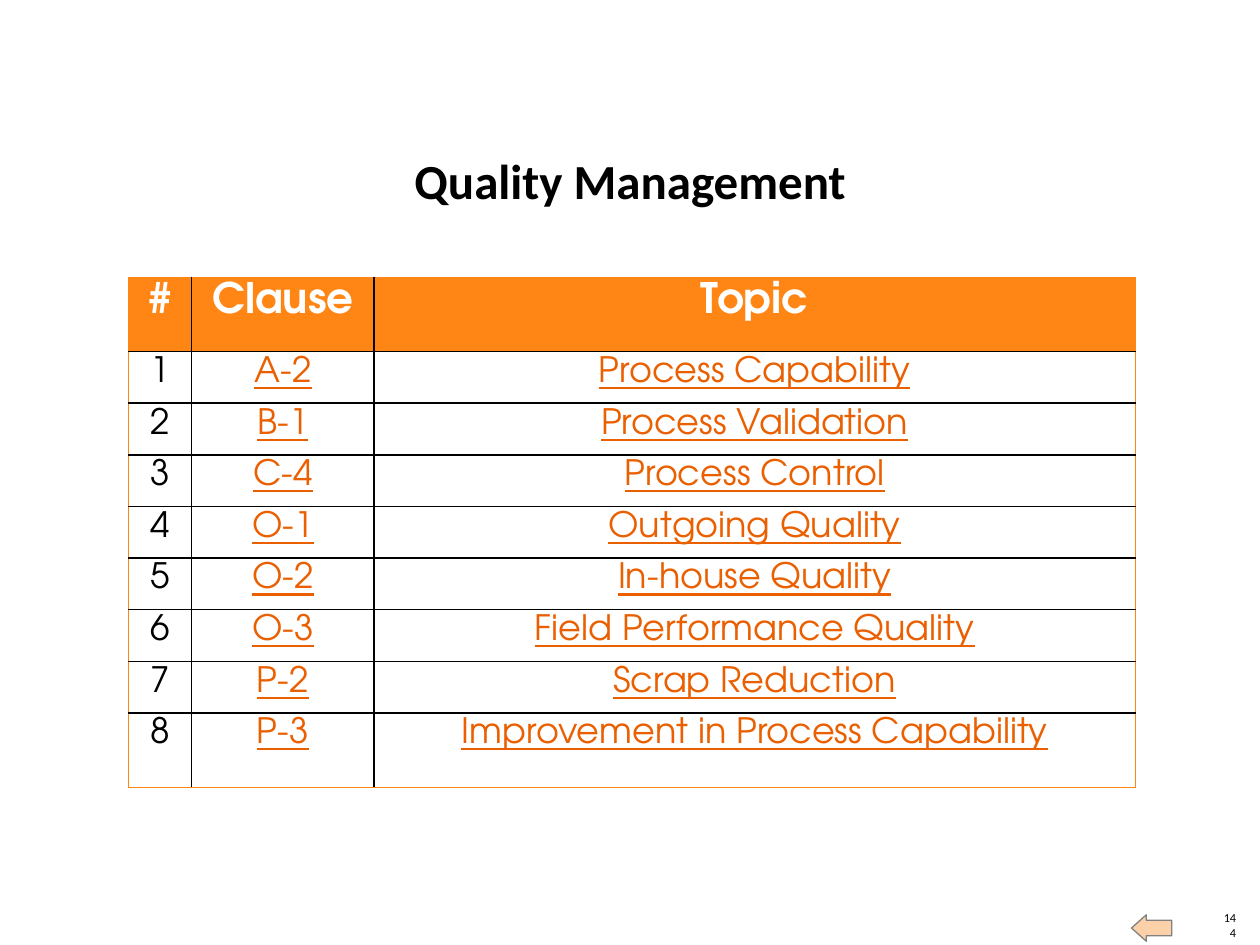
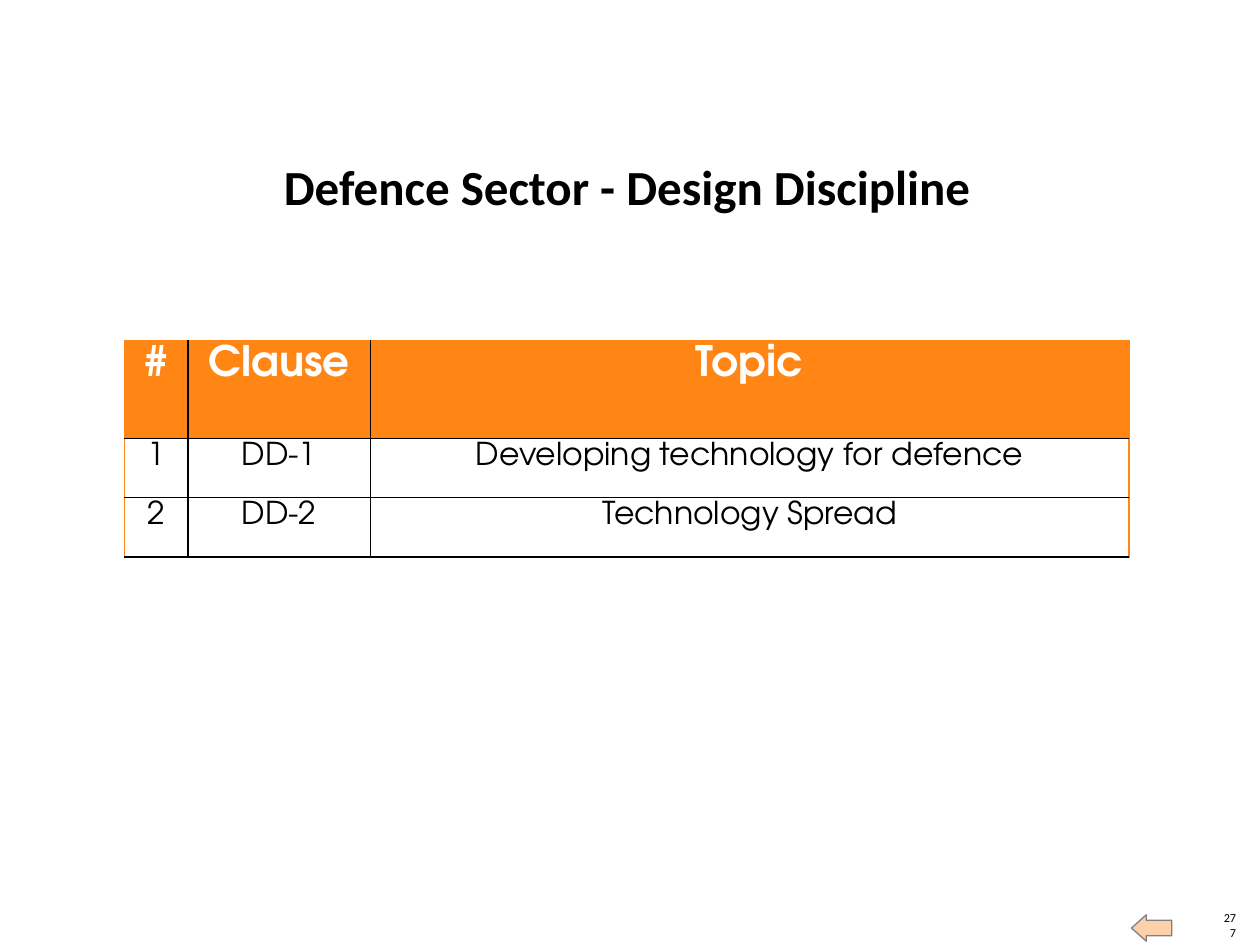
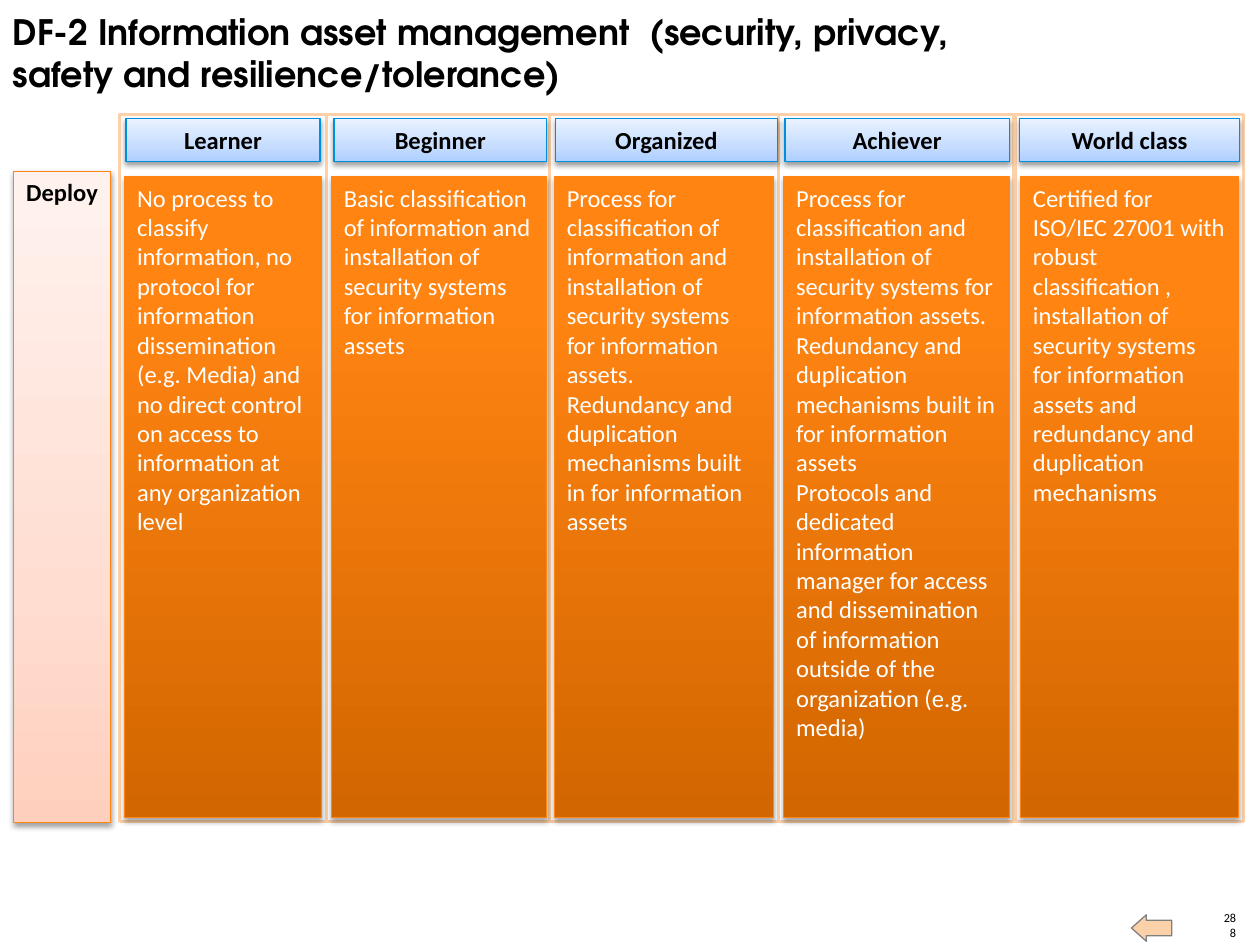
from lxml import etree
from pptx import Presentation
from pptx.dml.color import RGBColor
from pptx.enum.shapes import MSO_SHAPE
from pptx.enum.text import MSO_ANCHOR, MSO_AUTO_SIZE, PP_ALIGN
from pptx.oxml.ns import qn
from pptx.util import Inches, Pt

RECT, ARROW = MSO_SHAPE.RECTANGLE, MSO_SHAPE.RIGHT_ARROW
TOP, MIDDLE, BOTTOM = MSO_ANCHOR.TOP, MSO_ANCHOR.MIDDLE, MSO_ANCHOR.BOTTOM
LEFT, CENTER, RIGHT = PP_ALIGN.LEFT, PP_ALIGN.CENTER, PP_ALIGN.RIGHT
FIXED = MSO_AUTO_SIZE.NONE

COLORS = {
    "black": "000000",
    "white": "FFFFFF",
    "orange": "FF8615",
    "peach": "FCD1AA",
    "gray": "808080",
    "blue": "008FDC",
    "link": "EA5F00",
}
FADES = {
    "head": ((0, "AECFFF"), (35, "C6DDFF"), (100, "E9F2FF")),
    "body": ((0, "D26600"), (80, "FF8412"), (100, "FF8514")),
    "side": ((0, "FFCFBD"), (35, "FFDDD1"), (100, "FFF2EE")),
}
SANS, ROUND = "Calibri", "TeX Gyre Adventor"

QUALITY = [
    ("1", "A-2", "Process Capability"),
    ("2", "B-1", "Process Validation"),
    ("3", "C-4", "Process Control"),
    ("4", "O-1", "Outgoing Quality"),
    ("5", "O-2", "In-house Quality"),
    ("6", "O-3", "Field Performance Quality"),
    ("7", "P-2", "Scrap Reduction"),
    ("8", "P-3", "Improvement in Process Capability"),
]
DEFENCE = [
    ("1", "DD-1", "Developing technology for defence"),
    ("2", "DD-2", "Technology Spread"),
]
LEVELS = [
    ("Learner", (0.95, 1.64), (1, 1.54),
     ["No process to classify information, no protocol for information "
      "dissemination (e.g. Media) and no direct control on access to "
      "information at any organization level"]),
    ("Beginner", (2.59, 1.79), (2.65, 1.69),
     ["Basic classification of information and installation of security "
      "systems for information assets"]),
    ("Organized", (4.36, 1.82), (4.41, 1.76),
     ["Process for classification of information and installation of "
      "security systems for information assets. Redundancy and duplication "
      "mechanisms built in for information assets"]),
    ("Achiever", (6.18, 1.87), (6.23, 1.78),
     ["Process for classification and installation of security systems for "
      "information assets. Redundancy and duplication mechanisms built in "
      "for information assets",
      "Protocols and dedicated information manager for access and "
      "dissemination of information outside of the organization (e.g. media)"]),
    ("World class", (8.06, 1.81), (8.09, 1.75),
     ["Certified for ISO/IEC 27001 with robust classification , installation "
      "of security systems for information assets and redundancy and "
      "duplication mechanisms"]),
]


def rgb(name):
    return RGBColor.from_string(COLORS[name])


def node(parent, tag, **attrs):
    return etree.SubElement(parent, qn(tag), {k: str(v) for k, v in attrs.items()})


class Deck:
    def __init__(self):
        self.prs = Presentation()
        self.prs.slide_width, self.prs.slide_height = Inches(10), Inches(7.5)
        self.slide = None

    def page(self, number):
        self.slide = self.prs.slides.add_slide(self.prs.slide_layouts[5])
        note = self.slide.shapes.add_textbox(*map(Inches, (9.69, 7.23, 0.12, 0.23)))
        self.label(note.text_frame, [number], 7, align=RIGHT, anchor=BOTTOM, inset=0)
        arrow = self.box((8.98, 7.26, 0.32, 0.21), "gray", fill="peach", kind=ARROW)
        arrow.rotation = 180
        arrow.adjustments[0], arrow.adjustments[1] = 0.59, 0.56

    def font(self, para, size, color, name, bold=False, align=LEFT):
        para.alignment = align
        font = para.font
        font.size, font.name, font.bold = Pt(size), name, bold
        font.color.rgb = rgb(color)
        return font

    def label(self, frame, lines, size, color="black", name=SANS, bold=False,
              align=LEFT, anchor=TOP, inset=None):
        frame.word_wrap = True
        frame.auto_size = FIXED
        frame.vertical_anchor = anchor
        if inset is not None:
            frame.margin_left = frame.margin_right = Inches(inset)
            frame.margin_top = frame.margin_bottom = Inches(inset)
        frame.text = "\n".join(lines)
        for para in frame.paragraphs:
            self.font(para, size, color, name, bold, align)

    def title(self, text, area, size=28, name=SANS, **style):
        shape = self.slide.shapes.title
        shape.left, shape.top, shape.width, shape.height = map(Inches, area)
        self.label(shape.text_frame, [text], size, name=name, bold=True, **style)
        return shape

    def box(self, area, line, weight=0.75, fill="white", kind=RECT, fade=None):
        shape = self.slide.shapes.add_shape(kind, *map(Inches, area))
        if fade:
            grad = node(shape.element.spPr, "a:gradFill", rotWithShape=1)
            stops = node(grad, "a:gsLst")
            for spot, tone in FADES[fade]:
                node(node(stops, "a:gs", pos=spot * 1000), "a:srgbClr", val=tone)
            node(grad, "a:lin", ang=16200000, scaled=0)
        else:
            shape.fill.solid()
            shape.fill.fore_color.rgb = rgb(fill)
        shape.line.color.rgb = rgb(line)
        shape.line.width = Pt(weight)
        shape.shadow.inherit = False
        return shape

    def card(self, area, lines, fade, line, alpha=38, drop=1.6, **style):
        shape = self.box(area, line, fade=fade)
        effects = shape.element.spPr.find(qn("a:effectLst"))
        shade = node(effects, "a:outerShdw", blurRad=Pt(3.1), dist=Pt(drop),
                     dir=5400000, rotWithShape=0)
        tone = node(shade, "a:srgbClr", val=COLORS["black"])
        node(tone, "a:alpha", val=alpha * 1000)
        self.label(shape.text_frame, lines, 14, **style)

    def edge(self, cell, side, outer):
        color, weight = ("orange", 0.75) if outer else ("black", 1)
        line = node(cell._tc.get_or_add_tcPr(), f"a:ln{side}", w=Pt(weight))
        node(node(line, "a:solidFill"), "a:srgbClr", val=COLORS[color])

    def table(self, area, widths, heights, rows, size, pad, link=False, closed=True):
        rows = [("#", "Clause", "Topic")] + rows
        shape = self.slide.shapes.add_table(len(rows), len(widths), *map(Inches, area))
        table = shape.table
        table.first_row = table.horz_banding = False
        for col, width in zip(table.columns, widths):
            col.width = Inches(width)
        for row, height in zip(table.rows, heights):
            row.height = Inches(height)
        for r, row in enumerate(rows):
            for c, text in enumerate(row):
                cell, head = table.cell(r, c), r == 0
                self.edge(cell, "L", c == 0)
                self.edge(cell, "R", c == len(row) - 1)
                self.edge(cell, "T", head)
                self.edge(cell, "B", closed and r == len(rows) - 1)
                cell.fill.solid()
                cell.fill.fore_color.rgb = rgb("orange" if head else "white")
                side, rim = (0.07, 0.04) if head else pad
                cell.margin_left = cell.margin_right = Inches(side)
                cell.margin_top = cell.margin_bottom = Inches(rim)
                cell.text = text
                linked = link and c > 0 and not head
                color = "white" if head else "link" if linked else "black"
                font = self.font(cell.text_frame.paragraphs[0], 24 if head else size,
                                 color, ROUND, head, CENTER)
                if linked:
                    font.underline = True


def main():
    deck = Deck()

    deck.page("144")
    title = deck.title("Quality Management", (2.93, 1.19, 4.14, 0.47),
                       align=CENTER, anchor=BOTTOM, inset=0)
    title.fill.solid()
    title.fill.fore_color.rgb = rgb("white")
    deck.table((1.02, 2.2, 8, 4.04), (0.5, 1.45, 6.04), [0.59] + [0.41] * 7 + [0.59],
               QUALITY, 20, (0.07, 0.04), link=True)

    deck.page("277")
    deck.title("Defence Sector - Design Discipline", (2.09, 1.24, 5.77, 0.47),
               align=CENTER, anchor=BOTTOM, inset=0)
    deck.table((0.99, 2.7, 7.97, 1.72), (0.5, 1.45, 6.02), (0.78, 0.47, 0.47),
               DEFENCE, 18, (0.06, 0.03), closed=False)

    deck.page("288")
    deck.title("DF-2 Information asset management  (security, privacy, "
               "safety and resilience/tolerance)", (0, 0.03, 7.66, 0.77), 20, ROUND)
    for _, (left, width), _, _ in LEVELS:
        deck.box((left, 0.91, width, 5.61), "peach", 2)
    for name, (left, width), (start, span), lines in LEVELS:
        deck.card((start, 0.94, span, 0.34), [name], "head", "blue",
                  bold=True, align=CENTER, anchor=MIDDLE)
        deck.card((left + 0.04, 1.4, width - 0.08, 5.09), lines, "body", "orange",
                  35, 1.8, color="white")
    deck.card((0.11, 1.36, 0.77, 5.17), ["Deploy"], "side", "orange", bold=True)

    deck.prs.save("out.pptx")


if __name__ == "__main__":
    main()
